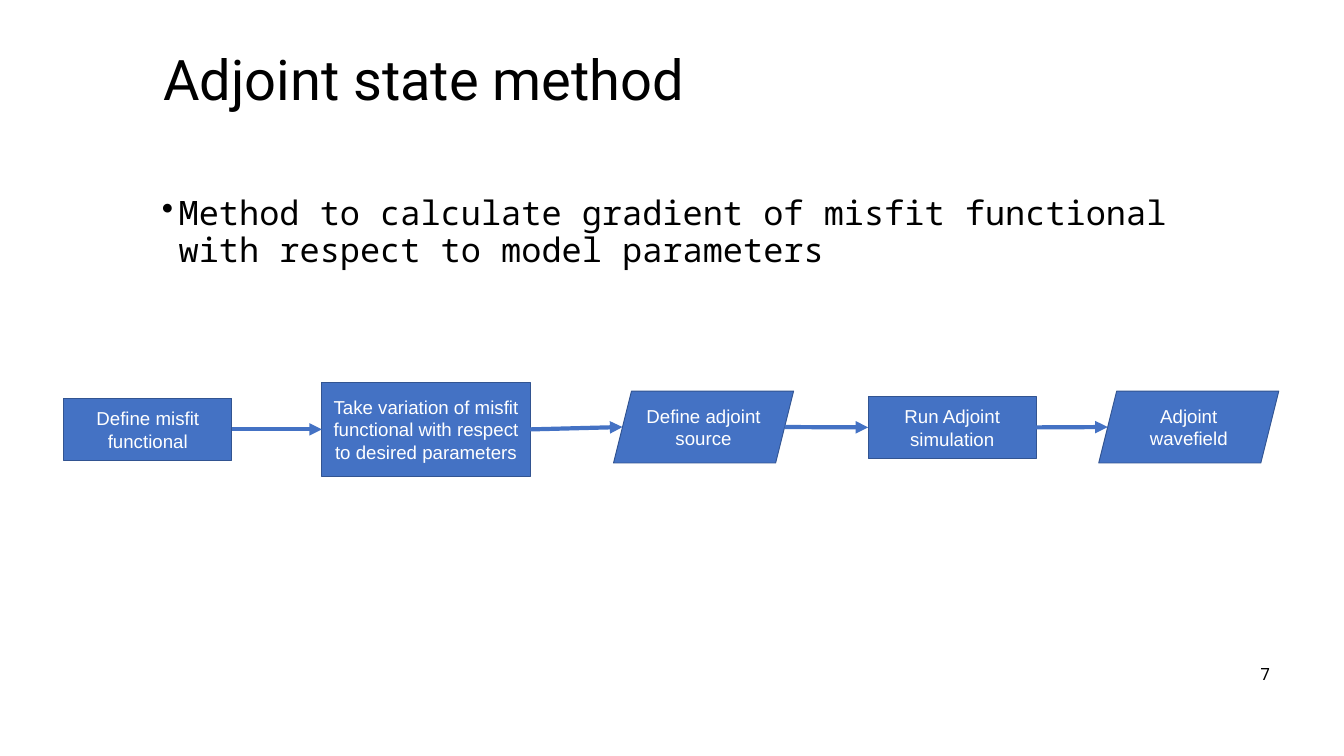
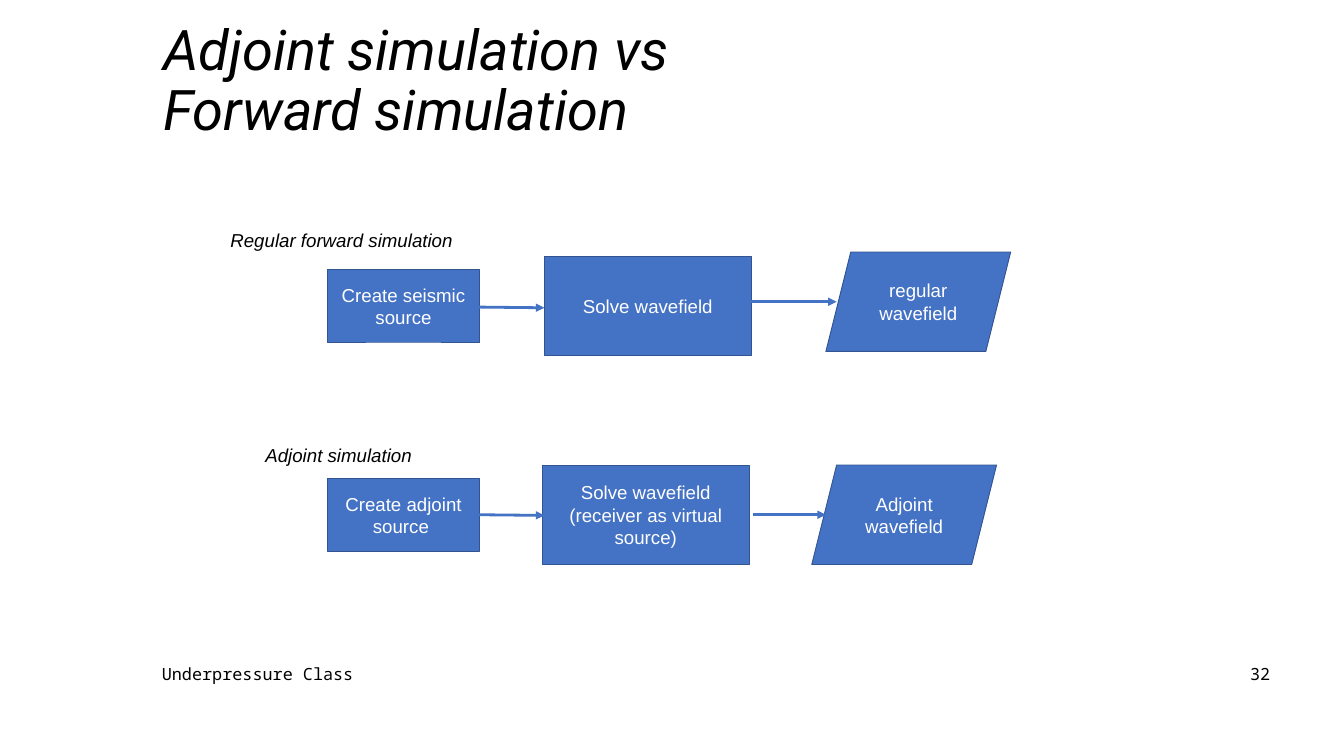
from lxml import etree
from pptx import Presentation
from pptx import util as u
from pptx.dml.color import RGBColor
from pptx.enum import shapes, text
from pptx.oxml import ns

PX = u.Inches(1) // 100
BLACK = RGBColor(0x00, 0x00, 0x00)
WHITE = RGBColor(0xFF, 0xFF, 0xFF)
BLUE = RGBColor(0x44, 0x72, 0xC4)
NAVY = RGBColor(0x32, 0x54, 0x91)

RECTANGLE = shapes.MSO_SHAPE.RECTANGLE
PARALLELOGRAM = shapes.MSO_SHAPE.PARALLELOGRAM
LEFT, RIGHT = 1, 3
CENTER = text.PP_ALIGN.CENTER

TITLE = {"name": "Roboto", "size": u.Pt(60)}
BODY = {"name": "Noto Sans Mono", "size": u.Pt(36)}
FOOTER = {"name": "Noto Sans Mono", "size": u.Pt(18)}
STEP = {"name": "Arial", "size": u.Pt(20)}
LABEL = {**STEP, "italic": True}
MIDDLE = {"vertical_anchor": text.MSO_ANCHOR.MIDDLE}
GROW = {"auto_size": text.MSO_AUTO_SIZE.SHAPE_TO_FIT_TEXT}


def emu(lengths):
    return [length * PX for length in lengths]


def apply(target, values):
    for name, value in values.items():
        setattr(target, name, value)


def write(shape, words, font, color=BLACK, frame=None, layout=None):
    apply(shape.text_frame, {"word_wrap": True, **(frame or {})})
    paragraph = shape.text_frame.paragraphs[0]
    paragraph.text = words
    apply(paragraph, layout or {})
    for run in paragraph.runs:
        apply(run.font, font)
        run.font.color.rgb = color
    return paragraph


def add_text(slide, box, words, font, frame=None, layout=None):
    shape = slide.shapes.add_textbox(*emu(box))
    return write(shape, words, font, frame=frame, layout=layout)


def add_title(slide, words, italic=False):
    add_text(slide, (233, 60, 1367, 125), words, {**TITLE, "italic": italic},
             MIDDLE, {"line_spacing": 0.9})


def add_page_number(slide, number):
    add_text(slide, (1450, 983, 450, 40), number, FOOTER, MIDDLE,
             {"alignment": text.PP_ALIGN.RIGHT})


def add_bullet(slide, box, words):
    paragraph = add_text(slide, box, words, BODY, layout={"line_spacing": 0.9})
    properties = paragraph._p.get_or_add_pPr()
    properties.set("marL", str(25 * PX))
    properties.set("indent", str(-25 * PX))
    etree.SubElement(properties, ns.qn("a:buChar")).set("char", "•")


def add_step(slide, kind, box, words):
    shape = slide.shapes.add_shape(kind, *emu(box))
    shape.shadow.inherit = False
    shape.fill.solid()
    shape.fill.fore_color.rgb = BLUE
    shape.line.color.rgb = NAVY
    shape.line.width = u.Pt(1)
    write(shape, words, STEP, WHITE, MIDDLE, {"alignment": CENTER})
    return shape


def side_point(shape, side):
    slant = shape.height // 8 if shape.auto_shape_type == PARALLELOGRAM else 0
    x = shape.left + slant if side == LEFT else shape.left + shape.width - slant
    return x, shape.top + shape.height // 2


def add_arrow(slide, start, end, weight):
    points = [emu(stop) if isinstance(stop, tuple) else side_point(stop, side)
              for stop, side in ((start, RIGHT), (end, LEFT))]
    connector = slide.shapes.add_connector(
        shapes.MSO_CONNECTOR.STRAIGHT, *points[0], *points[1])
    for stop, side, connect in ((start, RIGHT, connector.begin_connect),
                                (end, LEFT, connector.end_connect)):
        if not isinstance(stop, tuple) and stop.auto_shape_type == RECTANGLE:
            connect(stop, side)
    connector.line.color.rgb = BLUE
    connector.line.width = u.Pt(weight)
    line = connector.line._get_or_add_ln()
    etree.SubElement(line, ns.qn("a:tailEnd")).set("type", "triangle")
    etree.SubElement(connector._element.spPr, ns.qn("a:effectLst"))


def build_method(slide):
    add_title(slide, "Adjoint state method")
    add_bullet(slide, (231, 288, 1558, 647),
               "Method to calculate gradient of misfit functional "
               "with respect to model parameters")
    add_page_number(slide, "7")
    steps = [add_step(slide, *step) for step in (
        (RECTANGLE, (95, 593, 250, 92), "Define misfit functional"),
        (RECTANGLE, (479, 569, 310, 140),
         "Take variation of misfit functional with respect to desired parameters"),
        (PARALLELOGRAM, (913, 582, 268, 107), "Define adjoint source"),
        (RECTANGLE, (1292, 590, 250, 92), "Run Adjoint simulation"),
        (PARALLELOGRAM, (1635, 582, 268, 107), "Adjoint wavefield"),
    )]
    for start, end in zip(steps, steps[1:]):
        add_arrow(slide, start, end, 4.5)


def build_comparison(slide):
    add_title(slide, "Adjoint simulation vs \vForward simulation", italic=True)
    add_text(slide, (231, 983, 317, 40), "Underpressure Class", FOOTER, MIDDLE)
    add_page_number(slide, "32")

    add_text(slide, (333, 335, 360, 44), "Regular forward simulation", LABEL, GROW)
    add_step(slide, RECTANGLE, (488, 401, 225, 108), "Create seismic source")
    add_step(slide, RECTANGLE, (810, 381, 308, 148), "Solve wavefield")
    add_step(slide, PARALLELOGRAM, (1229, 375, 275, 148), "regular wavefield")
    add_arrow(slide, (713, 457), (810, 458), 3)
    add_arrow(slide, (1118, 449), (1245, 449), 3)

    add_text(slide, (385, 655, 308, 44), "Adjoint simulation", LABEL, GROW)
    source = add_step(slide, RECTANGLE, (488, 712, 225, 108), "Create adjoint source ")
    add_step(slide, RECTANGLE, (807, 692, 308, 148),
             "Solve wavefield (receiver as virtual source)")
    add_step(slide, PARALLELOGRAM, (1208, 692, 275, 148), "Adjoint wavefield")
    add_arrow(slide, source, (810, 767), 3)
    add_arrow(slide, (1120, 766), (1229, 766), 3)


def main():
    presentation = Presentation()
    presentation.slide_width, presentation.slide_height = emu((2000, 1125))
    for build in (build_method, build_comparison):
        build(presentation.slides.add_slide(presentation.slide_layouts[6]))
    presentation.save("out.pptx")


if __name__ == "__main__":
    main()
